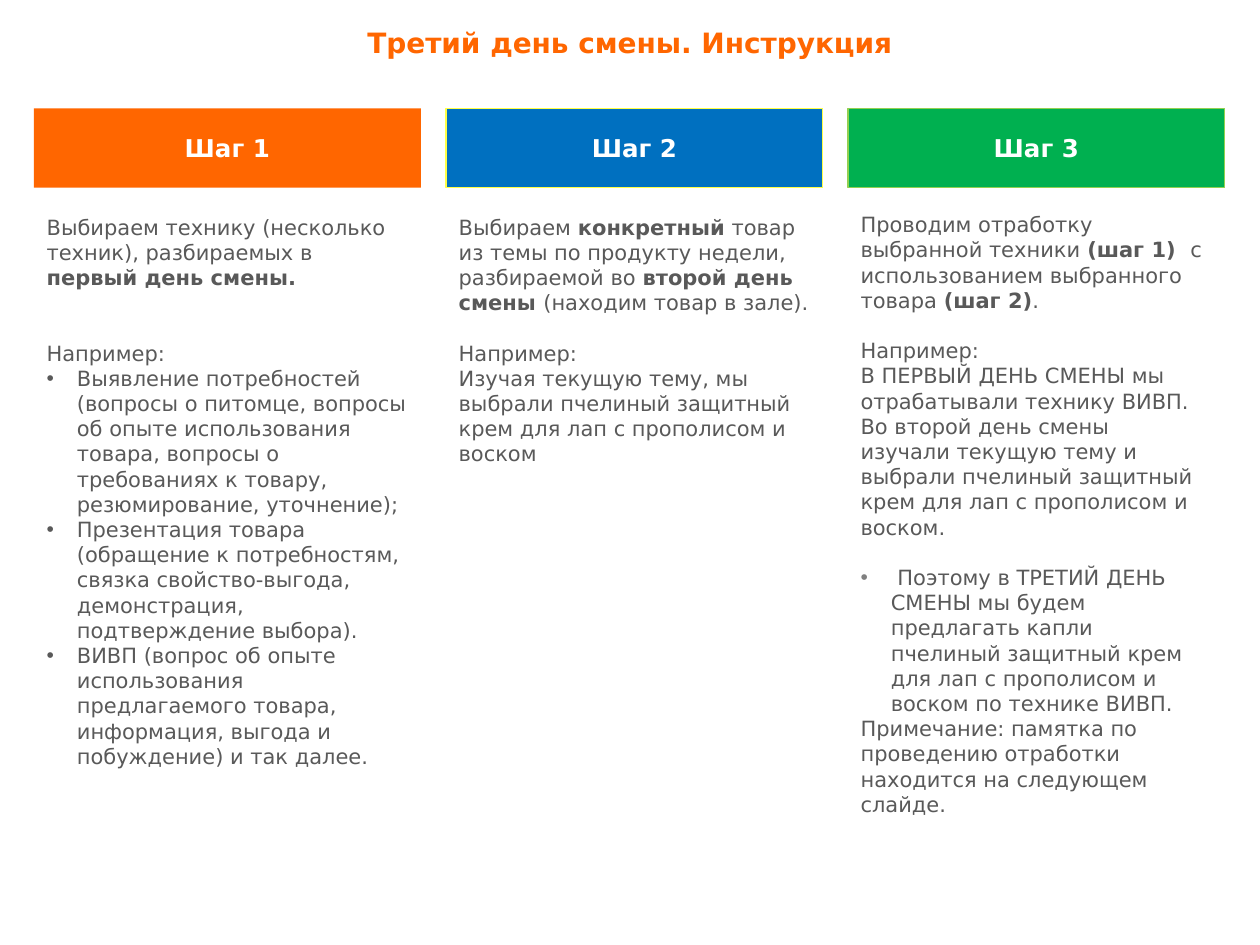
"""Build the slide with the three steps for day three of the shift."""
from lxml.etree import SubElement as Sub
from pptx import Presentation
from pptx.dml.color import RGBColor as Color
from pptx.enum.shapes import MSO_SHAPE as Shape
from pptx.enum.text import MSO_ANCHOR as Anchor, MSO_AUTO_SIZE as Fit, PP_ALIGN as Align
from pptx.oxml.ns import qn
from pptx.util import Inches, Pt

HUES = {"orange": "FF6600", "blue": "0070C0", "green": "00B050", "yellow": "FFFF47",
        "lime": "92D050", "white": "FFFFFF", "text": "595959", "gray": "808080"}
FRAME = {"word_wrap": True, "auto_size": Fit.NONE,
         "margin_left": Inches(0.1), "margin_right": Inches(0.1),
         "margin_top": Inches(0.05), "margin_bottom": Inches(0.05)}
LINE = 14.4
CREAM = "пчелиный защитный крем для лап с прополисом и воском"

STEPS = [
    {"fill": "orange", "edge": None, "width": 3.07, "slot": 2, "box": (1.65, 3.07, 4.96), "text": [
        ("Выбираем технику (несколько техник), разбираемых в *первый день смены.*", 0, None),
        ("Например:", 2, None),
        ("Выявление потребностей (вопросы о питомце, вопросы об опыте использования товара, "
         "вопросы о требованиях к товару, резюмирование, уточнение);", 0, "text"),
        ("Презентация товара (обращение к потребностям, связка свойство-выгода, "
         "демонстрация, подтверждение выбора).", 0, "text"),
        ("ВИВП (вопрос об опыте использования предлагаемого товара, информация, "
         "выгода и побуждение) и так далее.", 0, "text")]},
    {"fill": "blue", "edge": "yellow", "width": 2.99, "slot": 1, "box": (1.65, 2.99, 2.99), "text": [
        ("Выбираем *конкретный* товар из темы по продукту недели, разбираемой во "
         "*второй день смены *(находим товар в зале).", 0, None),
        ("Например:", 1, None),
        (f"Изучая текущую тему, мы выбрали {CREAM}", 0, None)]},
    {"fill": "green", "edge": "lime", "width": 2.99, "slot": 4, "box": (1.63, 2.91, 4.96), "text": [
        ("Проводим отработку выбранной техники *(шаг 1)  *с использованием выбранного "
         "товара *(шаг 2)*.", 0, None),
        ("Например:", 1, None),
        ("В ПЕРВЫЙ ДЕНЬ СМЕНЫ мы отрабатывали технику ВИВП. Во второй день смены "
         f"изучали текущую тему и выбрали {CREAM}.", 0, None),
        (f" Поэтому в ТРЕТИЙ ДЕНЬ СМЕНЫ мы будем предлагать капли {CREAM} "
         "по технике ВИВП.", 1, "gray"),
        ("Примечание: памятка по проведению отработки находится на следующем слайде.", 0, None)]},
]


def place(shape, box, anchor):
    for name, value in zip(("left", "top", "width", "height"), box):
        setattr(shape, name, Inches(value))
    for name, value in {**FRAME, "vertical_anchor": anchor}.items():
        setattr(shape.text_frame, name, value)


def write(para, text, size, hue, bold=False):
    run = para.add_run()
    run.text = text
    for name, value in {"name": "DejaVu Sans", "size": Pt(size), "bold": bold}.items():
        setattr(run.font, name, value)
    run.font.color.rgb = Color.from_string(HUES[hue])


deck = Presentation()
deck.slide_width, deck.slide_height = Inches(10), Inches(7.5)
slide = deck.slides.add_slide(deck.slide_layouts[4])
slots = {slot.placeholder_format.idx: slot for slot in slide.placeholders}
spare = slots[3].element
spare.getparent().remove(spare)

title = slots[0]
place(title, (0, 0.15, 10, 0.37), Anchor.TOP)
head = title.text_frame.paragraphs[0]
head.alignment = Align.CENTER
write(head, "Третий день смены. Инструкция", 16, "orange", True)

left = 0.27
for count, step in enumerate(STEPS, 1):
    bar = slide.shapes.add_shape(Shape.RECTANGLE, 0, 0, 0, 0)
    place(bar, (left, 0.86, step["width"], 0.63), Anchor.MIDDLE)
    bar.shadow.inherit = False
    bar.fill.solid()
    bar.fill.fore_color.rgb = Color.from_string(HUES[step["fill"]])
    if step["edge"]:
        bar.line.color.rgb = Color.from_string(HUES[step["edge"]])
        bar.line.width = Pt(0.75)
    else:
        bar.line.fill.background()
    label = bar.text_frame.paragraphs[0]
    label.alignment = Align.CENTER
    write(label, f"Шаг {count}", 14, "white", True)

    body = slots[step["slot"]]
    place(body, (left, *step["box"]), Anchor.TOP)
    for row, (text, gap, dot) in enumerate(step["text"]):
        frame = body.text_frame
        para = frame.add_paragraph() if row else frame.paragraphs[0]
        para.alignment = Align.LEFT
        para.space_before, para.space_after = Pt(gap * LINE), Pt(0)
        props = para._p.get_or_add_pPr()
        indent = Inches(0.24) if dot else 0
        props.set("marL", str(indent))
        props.set("indent", str(-indent))
        if dot:
            Sub(Sub(props, qn("a:buClr")), qn("a:srgbClr"), val=HUES[dot])
            Sub(props, qn("a:buFont"), typeface="Arial")
            Sub(props, qn("a:buChar"), char="•")
        else:
            Sub(props, qn("a:buNone"))
        for turn, part in enumerate(text.split("*")):
            if part:
                write(para, part, 12, "text", turn % 2 == 1)
    left += step["width"] + 0.2

deck.save("out.pptx")
